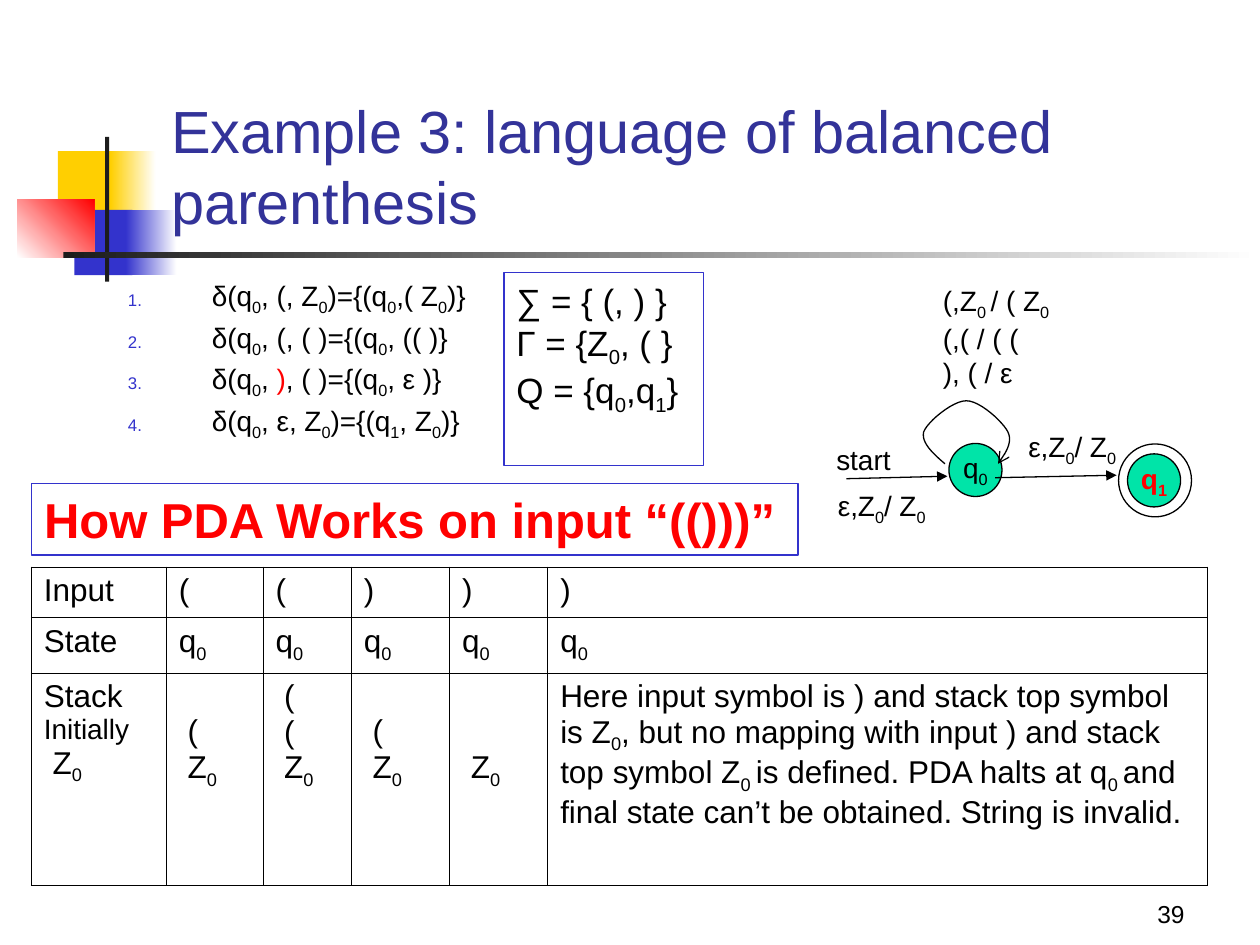
from lxml import etree
from pptx import Presentation
from pptx.dml.color import RGBColor
from pptx.enum.shapes import MSO_CONNECTOR, MSO_SHAPE
from pptx.enum.text import MSO_ANCHOR, PP_ALIGN
from pptx.oxml.ns import qn
from pptx.util import Cm, Pt

rgb = RGBColor.from_string
BLACK, RED, BLUE, GREEN = "000000", "FF0000", "3333CC", "00E4A8"
WHITE, YELLOW, DARK, TITLE = "FFFFFF", "FFCF01", "1C1C1C", "333399"


def add_runs(p, text, size, color=BLACK, bold=False):
    """Add text; the character after each _ is a subscript, with its space."""
    head, *rest = text.split("_")
    pieces = [(head, False)]
    for part in rest:
        n = 2 if part[1:2] == " " else 1
        pieces += [(part[:n], True), (part[n:], False)]
    for piece, subscript in pieces:
        if not piece:
            continue
        r = p.add_run()
        r.text = piece
        r.font.name = "Arial"
        r.font.size = Pt(size)
        r.font.bold = bold
        r.font.color.rgb = rgb(color)
        if subscript:
            r.font._element.set("baseline", "-25000")


def add_text(x, y, w, h, lines, size, color=BLACK, bold=False, frame=None):
    """Add a text box with one paragraph per line and return its text frame."""
    sp = slide.shapes.add_textbox(Cm(x), Cm(y), Cm(w), Cm(h))
    if frame:
        sp.line.color.rgb = rgb(frame)
        sp.line.width = Pt(0.75)
    tf = sp.text_frame
    tf.word_wrap = True
    for i, line in enumerate(lines):
        p = tf.add_paragraph() if i else tf.paragraphs[0]
        add_runs(p, line, size, color, bold)
    return tf


prs = Presentation()
prs.slide_width, prs.slide_height = Cm(25.4), Cm(19.05)
slide = prs.slides.add_slide(prs.slide_layouts[6])

# Template decoration: x, y, w, h, colours (two make a gradient), angle
decoration = [
    (1.17, 3.05, 1.22, 1.32, [YELLOW], 0),
    (2.23, 3.05, 0.91, 1.32, [YELLOW, WHITE], 0),
    (1.5, 4.23, 1.17, 1.32, [BLUE], 0),
    (2.54, 4.23, 1.02, 1.32, [BLUE, WHITE], 0),
    (0.35, 4.02, 1.55, 1.17, [WHITE, RED], 45),
    (2.12, 2.76, 0.08, 2.92, [DARK], 0),
    (1.28, 5.08, 24.12, 0.13, [DARK, WHITE], 0),
]
for x, y, w, h, colors, angle in decoration:
    sp = slide.shapes.add_shape(MSO_SHAPE.RECTANGLE, Cm(x), Cm(y), Cm(w), Cm(h))
    sp.shadow.inherit = False
    sp.line.fill.background()
    if len(colors) == 1:
        sp.fill.solid()
        sp.fill.fore_color.rgb = rgb(colors[0])
    else:
        sp.fill.gradient()
        sp.fill.gradient_angle = angle
        for stop, color, position in zip(sp.fill.gradient_stops, colors, (0, 1)):
            stop.color.rgb = rgb(color)
            stop.position = position

# Page number, title and framed text
tf = add_text(18.85, 17.58, 5.28, 1.27, ["39"], 14)
tf.vertical_anchor = MSO_ANCHOR.BOTTOM
tf.paragraphs[0].alignment = PP_ALIGN.RIGHT
tf = add_text(3.2, 1.71, 21.64, 3.18,
              ["Example 3: language of balanced parenthesis"], 34, TITLE)
tf.vertical_anchor = MSO_ANCHOR.BOTTOM
add_text(10.16, 5.5, 4.02, 3.88,
         ["∑ = { (, ) }", "Γ = {Z_0, ( }", "Q = {q_0,q_1}"], 20, frame=BLUE)
add_text(0.64, 9.75, 15.45, 1.44,
         ["How PDA Works on input “(()))”"], 28, RED, True, frame=BLUE)

# Numbered transition rules
rules = [
    [("δ(q_0, (, Z_0)={(q_0,( Z_0)}", BLACK)],
    [("δ(q_0, (, ( )={(q_0, (( )}", BLACK)],
    [("δ(q_0,", BLACK), (" )", RED), (", ( )={(q_0, ε )}", BLACK)],
    [("δ(q_0, ε, Z_0)={(q_1, Z_0)}", BLACK)],
]
tf = add_text(2.33, 5.51, 8.99, 3.18, [], 16)
for i, rule in enumerate(rules):
    p = tf.add_paragraph() if i else tf.paragraphs[0]
    pPr = p._p.get_or_add_pPr()
    pPr.set("marL", str(Cm(1.69)))
    pPr.set("indent", str(-Cm(1.69)))
    bullet_color = etree.SubElement(pPr, qn("a:buClr"))
    etree.SubElement(bullet_color, qn("a:srgbClr"), val=BLUE)
    etree.SubElement(pPr, qn("a:buSzPct"), val="60000")
    etree.SubElement(pPr, qn("a:buAutoNum"), type="arabicPeriod")
    p.line_spacing = 0.9
    if i:
        p.space_before = Pt(4)
    for text, color in rule:
        add_runs(p, text, 16, color)

# Automaton states: x, y, diameter, fill, label, label colour, bold
states = [
    (19.13, 8.94, 1.07, GREEN, "q_0", BLACK, False),
    (22.55, 8.95, 1.47, None, "", BLACK, False),
    (22.73, 9.15, 1.07, GREEN, "q_1", RED, True),
]
for x, y, d, fill, label, color, bold in states:
    sp = slide.shapes.add_shape(MSO_SHAPE.OVAL, Cm(x), Cm(y), Cm(d), Cm(d))
    sp.shadow.inherit = False
    sp.line.color.rgb = rgb(BLACK)
    sp.line.width = Pt(0.75)
    if fill:
        sp.fill.solid()
        sp.fill.fore_color.rgb = rgb(fill)
    else:
        sp.fill.background()
    tf = sp.text_frame
    tf.word_wrap = False
    tf.margin_left = tf.margin_right = tf.margin_top = tf.margin_bottom = 0
    tf.vertical_anchor = MSO_ANCHOR.MIDDLE
    tf.paragraphs[0].alignment = PP_ALIGN.CENTER
    add_runs(tf.paragraphs[0], label, 16, color, bold)

# Self-loop on q0, traced along its cubic Bézier segments
start = (19.05, 9.35)
segments = [
    [(18.8, 9.14), (18.57, 8.92), (18.62, 8.71)],
    [(18.69, 8.51), (19.2, 8.08), (19.48, 8.08)],
    [(19.76, 8.08), (20.22, 8.51), (20.32, 8.71)],
    [(20.42, 8.92), (20.27, 9.14), (20.12, 9.35)],
]
points, a = [], start
for b, c, d in segments:
    for t in [n / 12 for n in range(1, 13)]:
        u = 1 - t
        points.append([Cm(u**3 * a[k] + 3 * u * u * t * b[k]
                          + 3 * u * t * t * c[k] + t**3 * d[k]) for k in (0, 1)])
    a = d
builder = slide.shapes.build_freeform(Cm(start[0]), Cm(start[1]))
builder.add_line_segments(points, close=False)
loop = builder.convert_to_shape()
loop.shadow.inherit = False
loop.fill.background()

# Transitions
arrows = [(loop, "arrow")]
for x1, y1, x2, y2 in [(17.06, 9.65, 19.1, 9.6), (20.06, 9.63, 22.51, 9.58)]:
    line = slide.shapes.add_connector(MSO_CONNECTOR.STRAIGHT,
                                      Cm(x1), Cm(y1), Cm(x2), Cm(y2))
    arrows.append((line, "triangle"))
for line, head in arrows:
    line.line.color.rgb = rgb(BLACK)
    line.line.width = Pt(0.75)
    etree.SubElement(line.line._get_or_add_ln(), qn("a:tailEnd"), type=head)
    if line is not loop:
        etree.SubElement(line._element.spPr, qn("a:effectLst"))

add_text(18.76, 5.59, 2.8, 2.39, ["(,Z_0 / ( Z_0", "(,( / ( (", "), ( / ε"], 16)
add_text(16.61, 8.79, 1.8, 0.94, ["start"], 16)
for x, y in [(20.48, 8.54), (16.64, 9.73)]:
    add_text(x, y, 2.5, 1.04, ["ε,Z_0/ Z_0"], 16)

# Trace table; stack cells start below the given number of empty lines
verdict = ("Here input symbol is ) and stack top symbol is Z_0, but no mapping "
           "with input ) and stack top symbol Z_0 is defined. PDA halts at q_0 "
           "and final state can’t be obtained. String is invalid.")
rows = [
    [["Input"], ["("], ["("], [")"], [")"], [")"]],
    [["State"]] + [["q_0"]] * 5,
    [["Stack", "Initially", " Z_0"], [" (", " Z_0"], [" (", " (", " Z_0"],
     [" (", " Z_0"], [" Z_0"], [verdict]],
]
stack_offsets = [0, 1, 0, 1, 2, 0]
table = slide.shapes.add_table(3, 6, Cm(0.63), Cm(11.43), Cm(23.7), Cm(6.4)).table
table.first_row = table.horz_banding = False
for column, w in zip(table.columns, [2.72, 1.95, 1.78, 1.98, 1.98, 13.3]):
    column.width = Cm(w)
for row, h in zip(table.rows, [1.02, 1.12, 4.27]):
    row.height = Cm(h)
for i, row in enumerate(rows):
    for j, lines in enumerate(row):
        cell = table.cell(i, j)
        if i == 2:
            cell.margin_top = Cm(0.12 + 0.71 * stack_offsets[j])
        for n, text in enumerate(lines):
            p = cell.text_frame.add_paragraph() if n else cell.text_frame.paragraphs[0]
            add_runs(p, text, 16 if text == "Initially" else 18)
        tcPr = cell._tc.get_or_add_tcPr()
        for side in ("lnL", "lnR", "lnT", "lnB"):
            ln = etree.SubElement(tcPr, qn(f"a:{side}"), w=str(Pt(0.45)))
            solid = etree.SubElement(ln, qn("a:solidFill"))
            etree.SubElement(solid, qn("a:srgbClr"), val=BLACK)
        cell.fill.background()

prs.save("out.pptx")
